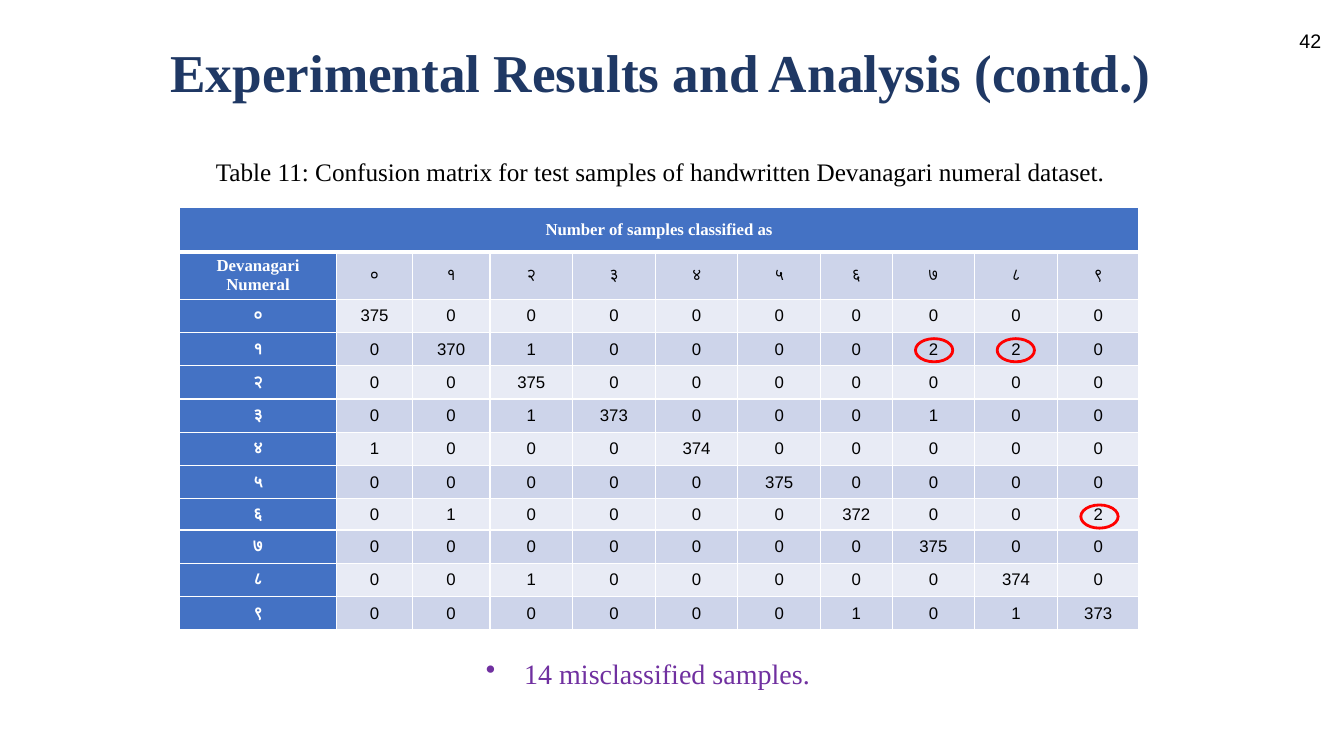
"""Build the confusion matrix slide for handwritten Devanagari numerals."""
from lxml.etree import SubElement
from pptx import Presentation
from pptx.dml.color import RGBColor
from pptx.enum.shapes import MSO_SHAPE
from pptx.enum.text import MSO_ANCHOR, PP_ALIGN
from pptx.oxml.ns import qn
from pptx.util import Emu, Pt

PX = 9144
SERIF, SANS = "Times New Roman", "Arial"
THEME = {
    "navy": "1F3864", "black": "000000", "white": "FFFFFF", "head": "4472C4",
    "dark": "CDD4EA", "light": "E8EBF5", "note": "7030A0", "ring": "FF0000",
    "title": 38, "bullet": 20, "caption": 18, "page": 14, "cell": 12,
}


def style(para, face, size, color, bold=False, align=PP_ALIGN.CENTER):
    para.alignment = align
    font = para.font
    font.name, font.size, font.bold = face, Pt(THEME[size]), bold
    font.color.rgb = RGBColor.from_string(THEME[color])


def label(box, text, face, size, color, bold=False, align=PP_ALIGN.CENTER):
    frame = slide.shapes.add_textbox(*(Emu(n * PX) for n in box)).text_frame
    frame.word_wrap = True
    frame.text = text
    style(frame.paragraphs[0], face, size, color, bold, align)
    return frame


deck = Presentation()
deck.slide_width, deck.slide_height = Emu(1333 * PX), Emu(750 * PX)
slide = deck.slides.add_slide(deck.slide_layouts[6])

title = label((0, 35, 1311, 80), "Experimental Results and Analysis (contd.)",
              SERIF, "title", "navy", True)
title.vertical_anchor = MSO_ANCHOR.MIDDLE
title.paragraphs[0].line_spacing = 0.9
label((143, 150, 1024, 40),
      "Table 11: Confusion matrix for test samples of handwritten Devanagari numeral dataset.",
      SERIF, "caption", "black")

DIGITS = "०१२३४५६७८९"
SAMPLES = 375
MISSES = {
    1: {2: 1, 7: 2, 8: 2},
    3: {2: 1, 7: 1},
    4: {0: 1},
    6: {1: 1, 9: 2},
    8: {2: 1},
    9: {6: 1, 8: 1},
}
rows = [["Number of samples classified as"] + [""] * 10,
        ["Devanagari\nNumeral", *DIGITS]]
for num, digit in enumerate(DIGITS):
    counts = [0] * 10
    for guess, count in MISSES.get(num, {}).items():
        counts[guess] = count
    counts[num] = SAMPLES - sum(counts)
    rows.append([digit, *map(str, counts)])

WIDTHS = [156, 75, 77, 82, 82, 82, 82, 71, 82, 82, 81]
HEIGHTS = [44, 47] + [33] * 6 + [31] + [33] * 3
grid = slide.shapes.add_table(
    len(rows), len(WIDTHS), Emu(178 * PX), Emu(206 * PX),
    Emu(sum(WIDTHS) * PX), Emu(sum(HEIGHTS) * PX)).table
for col, width in zip(grid.columns, WIDTHS):
    col.width = Emu(width * PX)
for row, height in zip(grid.rows, HEIGHTS):
    row.height = Emu(height * PX)
grid.cell(0, 0).merge(grid.cell(0, 10))

for r, row in enumerate(rows):
    for c, text in enumerate(row):
        cell = grid.cell(r, c)
        head = r == 0 or c == 0
        cell.text = text
        cell.vertical_anchor = MSO_ANCHOR.MIDDLE
        cell.margin_left = cell.margin_right = Emu(7 * PX)
        cell.margin_top = cell.margin_bottom = 0
        for para in cell.text_frame.paragraphs:
            style(para, SERIF if head and r < 2 else SANS, "cell",
                  "white" if head else "black", head)
        props = cell._tc.get_or_add_tcPr()
        for side in "LRTB":
            thick = (r, side) in ((0, "B"), (1, "T"))
            edge = SubElement(props, qn("a:ln" + side), w=str(Pt(3 if thick else 1)))
            paint = SubElement(edge, qn("a:solidFill"))
            SubElement(paint, qn("a:srgbClr"), val=THEME["white"])
        cell.fill.solid()
        shade = "head" if head else "dark" if r % 2 else "light"
        cell.fill.fore_color.rgb = RGBColor.from_string(THEME[shade])

label((1279, 24, 54, 34), "42", SANS, "page", "black", align=PP_ALIGN.LEFT)

note = label((472, 646, 368, 44), "14 misclassified samples.",
             SERIF, "bullet", "note", align=PP_ALIGN.LEFT)
props = note.paragraphs[0]._p.get_or_add_pPr()
props.set("marL", str(38 * PX))
props.set("indent", str(-38 * PX))
mark = SubElement(props, qn("a:buChar"), char="•")
props.insert(0, mark)

for left, top in ((908, 336), (989, 336), (1072, 501)):
    ring = slide.shapes.add_shape(
        MSO_SHAPE.OVAL, *(Emu(n * PX) for n in (left, top, 37, 23)))
    ring.shadow.inherit = False
    ring.fill.background()
    ring.line.color.rgb = RGBColor.from_string(THEME["ring"])
    ring.line.width = Pt(2)

deck.save("out.pptx")
